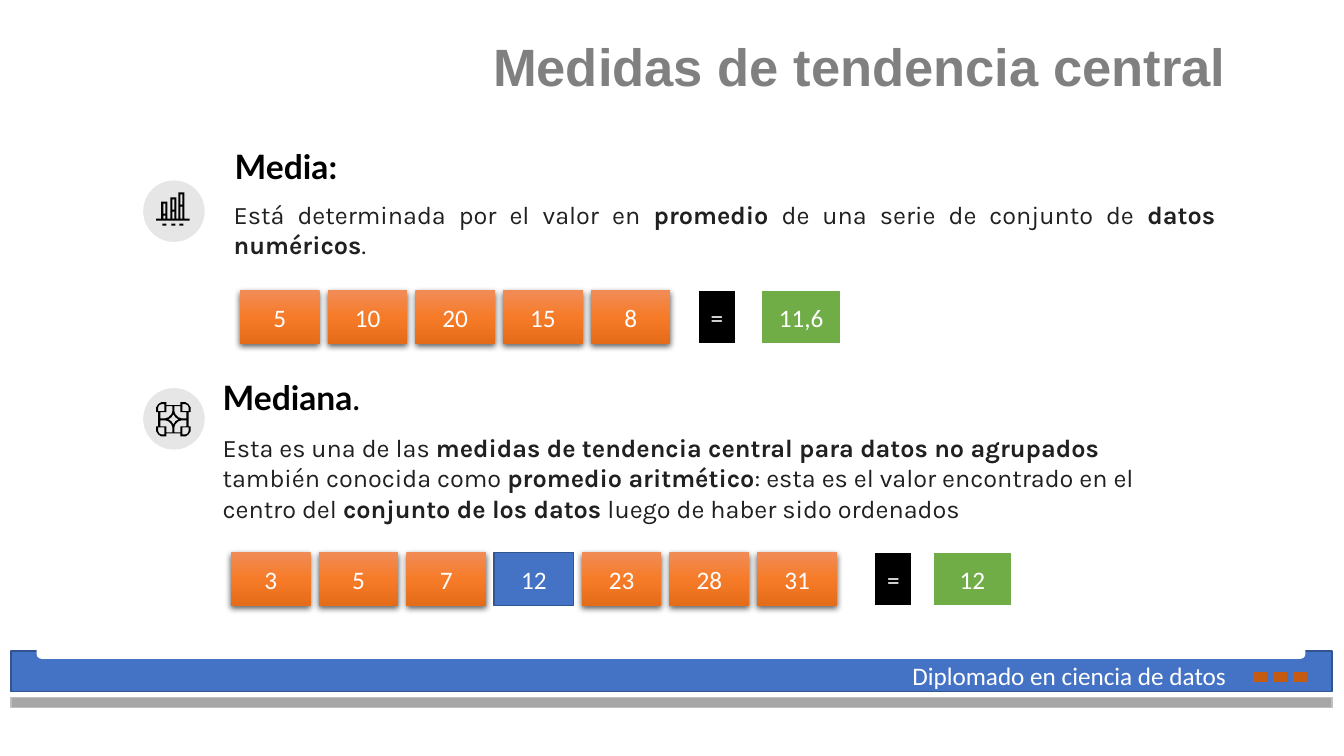
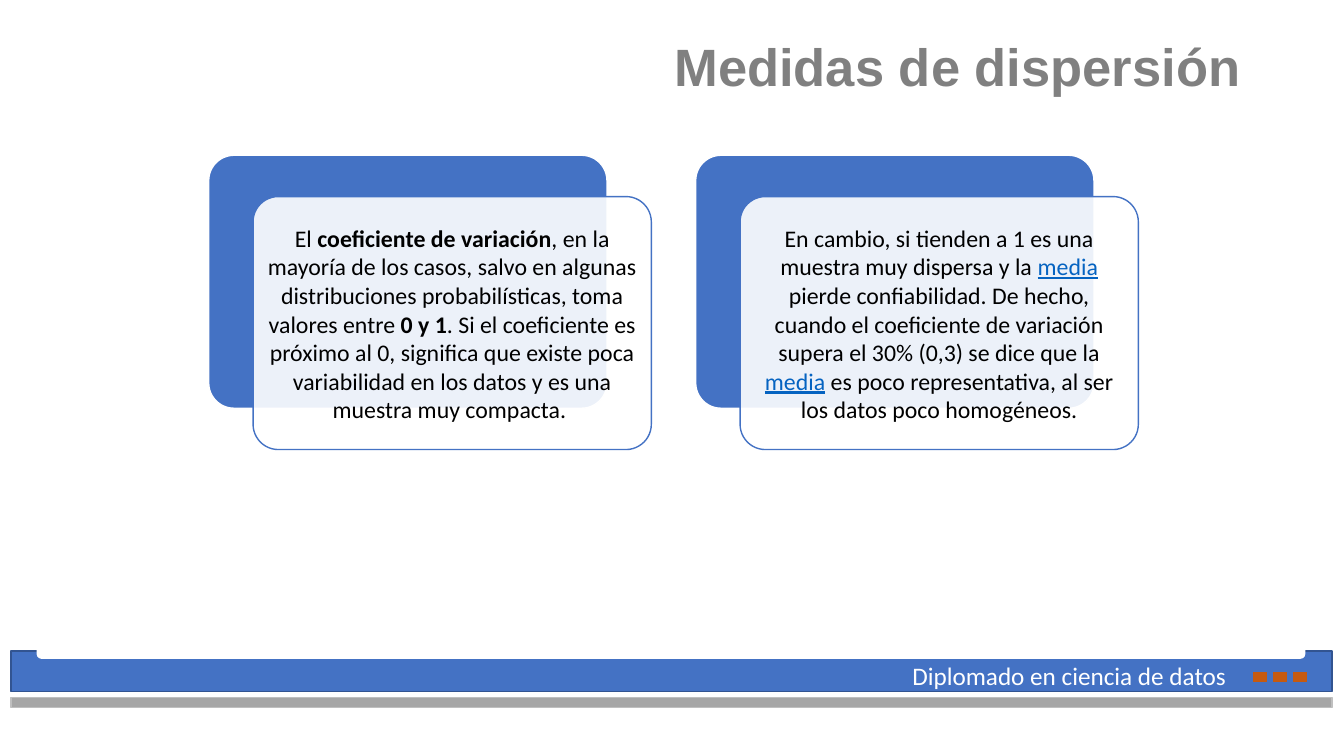
from copy import deepcopy

from lxml import etree
from pptx import Presentation
from pptx.dml.color import RGBColor
from pptx.enum.shapes import MSO_SHAPE
from pptx.enum.text import MSO_ANCHOR, PP_ALIGN
from pptx.oxml.ns import qn
from pptx.util import Inches, Pt

RECTANGLE = MSO_SHAPE.RECTANGLE
ROUNDED = MSO_SHAPE.ROUNDED_RECTANGLE
OVAL = MSO_SHAPE.OVAL
LEFT, CENTER, RIGHT, JUSTIFY = PP_ALIGN.LEFT, PP_ALIGN.CENTER, PP_ALIGN.RIGHT, PP_ALIGN.JUSTIFY
TOP, MIDDLE, BOTTOM = MSO_ANCHOR.TOP, MSO_ANCHOR.MIDDLE, MSO_ANCHOR.BOTTOM

BLACK = RGBColor(0x00, 0x00, 0x00)
WHITE = RGBColor(0xFF, 0xFF, 0xFF)
INK = RGBColor(0x20, 0x20, 0x20)
TITLE_GRAY = RGBColor(0x80, 0x80, 0x80)
BAND_GRAY = RGBColor(0xA6, 0xA6, 0xA6)
BAND_EDGE = RGBColor(0xBF, 0xBF, 0xBF)
ICON_GRAY = RGBColor(0xE7, 0xE6, 0xE6)
BLUE = RGBColor(0x44, 0x72, 0xC4)
DARK_BLUE = RGBColor(0x32, 0x54, 0x91)
LINK_BLUE = RGBColor(0x05, 0x63, 0xC1)
GREEN = RGBColor(0x70, 0xAD, 0x47)
RUST = RGBColor(0xC5, 0x5A, 0x11)
ORANGE_STOPS = (
    (0, RGBColor(0xF1, 0x8C, 0x57)),
    (0.5, RGBColor(0xF6, 0x7B, 0x28)),
    (1, RGBColor(0xE5, 0x6C, 0x19)),
)

BOLD = {"bold": True}
LINK = {"underline": True, "color": LINK_BLUE}


class Deck:
    body_font = "Calibri"
    heading_font = "Lato"
    text_font = "Karla"
    title_font = "Arial"
    body_size = 18

    def __init__(self):
        self.presentation = Presentation()
        self.presentation.slide_width = Inches(13.33)
        self.presentation.slide_height = Inches(7.5)
        self.slide = None

    def new_slide(self, title):
        self.slide = self.presentation.slides.add_slide(self.presentation.slide_layouts[6])
        paragraph = self.text((1.41, 0.4, 11, 0.6), [(title, BOLD)], size=37.5,
                              font=self.title_font, color=TITLE_GRAY, align=RIGHT, anchor=BOTTOM)
        paragraph.line_spacing = 0.7
        self.footer()

    def footer(self):
        self.shape(RECTANGLE, (0.11, 6.46, 13.1, 0.4), BLUE, DARK_BLUE)
        self.shape(ROUNDED, (0.37, 6.27, 12.57, 0.26), WHITE, WHITE)
        self.shape(RECTANGLE, (0.11, 6.92, 13.1, 0.1), BAND_GRAY, BAND_EDGE)
        for index in range(3):
            self.shape(RECTANGLE, (12.43 + 0.2 * index, 6.67, 0.13, 0.09), RUST, RUST)
        self.text((8.95, 6.5, 3.45, 0.4), ["Diplomado en ciencia de datos"], color=WHITE)

    def shape(self, kind, box, fill, line=None, line_width=1):
        shape = self.slide.shapes.add_shape(kind, *map(Inches, box))
        self.paint(shape, fill, line, line_width)
        return shape

    def paint(self, shape, fill, line=None, line_width=1):
        shape.shadow.inherit = False
        shape.fill.solid()
        shape.fill.fore_color.rgb = fill
        if line is None:
            shape.line.fill.background()
        else:
            shape.line.color.rgb = line
            shape.line.width = Pt(line_width)

    def add_runs(self, shape, runs, size=body_size, font=body_font, color=BLACK,
                 align=LEFT, anchor=TOP, inset=None):
        frame = shape.text_frame
        frame.word_wrap = True
        frame.vertical_anchor = anchor
        if inset is not None:
            frame.margin_left = frame.margin_right = Inches(inset)
            frame.margin_top = frame.margin_bottom = Inches(inset)
        paragraph = frame.paragraphs[0]
        paragraph.alignment = align
        for item in runs:
            content, style = (item, {}) if isinstance(item, str) else item
            run = paragraph.add_run()
            run.text = content
            run.font.name = font
            run.font.size = Pt(size)
            run.font.bold = style.get("bold", False)
            run.font.underline = style.get("underline", False)
            run.font.color.rgb = style.get("color", color)
        return paragraph

    def text(self, box, runs, **style):
        return self.add_runs(self.slide.shapes.add_textbox(*map(Inches, box)), runs, **style)

    def heading(self, box, runs):
        self.text(box, runs, size=24, font=self.heading_font, inset=0.1)

    def description(self, box, runs, align=LEFT):
        self.text(box, runs, font=self.text_font, color=INK, align=align)

    def tile(self, left, top, label, fill, line=None, line_width=1, width=0.79):
        shape = self.shape(RECTANGLE, (left, top, width, 0.53), fill, line, line_width)
        self.add_runs(shape, [label], color=WHITE, align=CENTER, anchor=MIDDLE)
        return shape

    def orange_tile(self, left, top, label):
        shape = self.tile(left, top, label, RUST)
        shape.fill.gradient()
        shape.fill.gradient_angle = 270
        properties = shape.element.spPr
        stop_list = properties.find(qn("a:gradFill")).find(qn("a:gsLst"))
        stop_list.append(deepcopy(stop_list[-1]))
        for stop, (position, color) in zip(shape.fill.gradient_stops, ORANGE_STOPS):
            stop.position = position
            stop.color.rgb = color
        shadow = etree.SubElement(properties.find(qn("a:effectLst")), qn("a:outerShdw"),
                                  blurRad=str(Pt(4.5)), dist=str(Pt(1.5)), dir="5400000",
                                  algn="ctr", rotWithShape="0")
        shade = etree.SubElement(shadow, qn("a:srgbClr"), val=str(BLACK))
        etree.SubElement(shade, qn("a:alpha"), val="63000")

    def number_row(self, left, top, numbers, equals_left, result_left, result, marked=None):
        for index, number in enumerate(numbers):
            tile_left = left + 0.87 * index
            if number == marked:
                self.tile(tile_left, top, number, BLUE, DARK_BLUE)
            else:
                self.orange_tile(tile_left, top, number)
        self.tile(equals_left, top, "=", BLACK, WHITE, 1.5, width=0.38)
        self.tile(result_left, top, result, GREEN, WHITE, 1.5)

    def outline(self, contours):
        scaled = [[(Inches(x), Inches(y)) for x, y in contour] for contour in contours]
        builder = self.slide.shapes.build_freeform(*scaled[0][0])
        for index, contour in enumerate(scaled):
            if index:
                builder.move_to(*contour[0])
            builder.add_line_segments(contour[1:], close=True)
        self.paint(builder.convert_to_shape(), BLACK)

    def icon_disc(self, top):
        self.shape(OVAL, (1.42, top, 0.61, 0.61), ICON_GRAY)

    def bars_icon(self):
        self.icon_disc(1.79)
        base = 2.17
        contours = [rectangle(1.55, base, 1.88, base + 0.02)]
        for left, top in ((1.6, 2.0), (1.69, 1.96), (1.77, 1.91)):
            inner, split = left + 0.02, top + 0.12
            contours += [
                rectangle(left, top, left + 0.06, base),
                rectangle(inner, top + 0.02, inner + 0.02, split),
                rectangle(inner, split + 0.02, inner + 0.02, base),
            ]
        for left in (1.61, 1.7, 1.78):
            contours.append(rectangle(left, 2.22, left + 0.04, 2.24))
        self.outline(contours)

    def star_icon(self):
        self.icon_disc(3.85)
        rim = [(0, 0.14), (0.07, 0.14), (0.07, 0.17), (0.12, 0.17), (0.15, 0.15),
               (0.17, 0.12), (0.17, 0.07), (0.15, 0.07), (0.15, 0)]
        star = [(0, 0.05), (0.02, 0.02), (0.05, 0)]
        corner = [(0.09, 0.08), (0.15, 0.08), (0.15, 0.12), (0.14, 0.14), (0.12, 0.15), (0.09, 0.15)]
        petal = [(0.13, 0.01), (0.13, 0.07), (0.07, 0.07), (0.07, 0.13), (0.01, 0.13),
                 (0.01, 0.08), (0.02, 0.05), (0.05, 0.02), (0.08, 0.01)]
        whole_rim, whole_star, holes = [], [], []
        for sign_x, sign_y in ((1, 1), (1, -1), (-1, -1), (-1, 1)):
            def mirror(points):
                placed = [(1.72 + sign_x * x, 4.16 + sign_y * y) for x, y in points]
                return placed[::sign_x * sign_y]
            whole_rim += mirror(rim)
            whole_star += mirror(star)
            holes += [mirror(corner), mirror(petal)]
        self.outline([whole_rim, whole_star] + holes)

    def layered_card(self, left, runs):
        top, width, height = 1.54, 3.95, 2.51
        back = self.shape(ROUNDED, (left, top, width, height), BLUE, WHITE)
        front = self.shape(ROUNDED, (left + 0.44, top + 0.41, width, height), WHITE, BLUE)
        for card in (back, front):
            card.adjustments[0] = 0.1
        color = front.element.spPr.find(qn("a:solidFill"))[0]
        etree.SubElement(color, qn("a:alpha"), val="90000")
        self.text((left + 0.51, top + 0.49, 3.81, 2.36), runs, size=17,
                  align=CENTER, anchor=MIDDLE, inset=0.07)


def rectangle(left, top, right, bottom):
    return [(left, top), (right, top), (right, bottom), (left, bottom)]


def central_tendency(deck):
    deck.new_slide("Medidas de tendencia central ")
    deck.bars_icon()
    deck.star_icon()
    deck.heading((2.23, 1.35, 9.24, 1.47), [("Media:", BOLD)])
    deck.heading((2.11, 3.64, 9.36, 1.83), [("Mediana", BOLD), "."])
    deck.description((2.11, 4.24, 9.72, 1.01), [
        "Esta es una de las ",
        ("medidas de tendencia central para datos no agrupados", BOLD),
        " también conocida como ",
        ("promedio aritmético", BOLD),
        ": esta es el valor encontrado en el centro del ",
        ("conjunto de los datos", BOLD),
        " luego de haber sido ordenados",
    ])
    deck.description((2.22, 1.93, 9.93, 0.71), [
        "Está determinada por el valor en ",
        ("promedio", BOLD),
        " de una serie de conjunto de ",
        ("datos numéricos", BOLD),
        ".",
    ], align=JUSTIFY)
    deck.number_row(2.38, 2.88, ("5", "10", "20", "15", "8"), 6.92, 7.55, "11,6")
    deck.number_row(2.29, 5.48, ("3", "5", "7", "12", "23", "28", "31"), 8.67, 9.25, "12",
                    marked="12")


def dispersion(deck):
    deck.new_slide("Medidas de dispersión")
    deck.layered_card(2.07, [
        "El ",
        ("coeficiente de variación", BOLD),
        ", en la mayoría de los casos, salvo en algunas distribuciones probabilísticas, "
        "toma valores entre ",
        ("0 y 1", BOLD),
        ". Si el coeficiente es próximo al 0, significa que existe poca variabilidad "
        "en los datos y es una muestra muy compacta. ",
    ])
    deck.layered_card(6.9, [
        "En cambio, si tienden a 1 es una muestra muy dispersa y la ",
        ("media", LINK),
        " pierde confiabilidad. De hecho, cuando el coeficiente de variación supera "
        "el 30% (0,3) se dice que la ",
        ("media", LINK),
        " es poco representativa, al ser los datos poco homogéneos.",
    ])


def main():
    deck = Deck()
    central_tendency(deck)
    dispersion(deck)
    deck.presentation.save("out.pptx")


if __name__ == "__main__":
    main()
